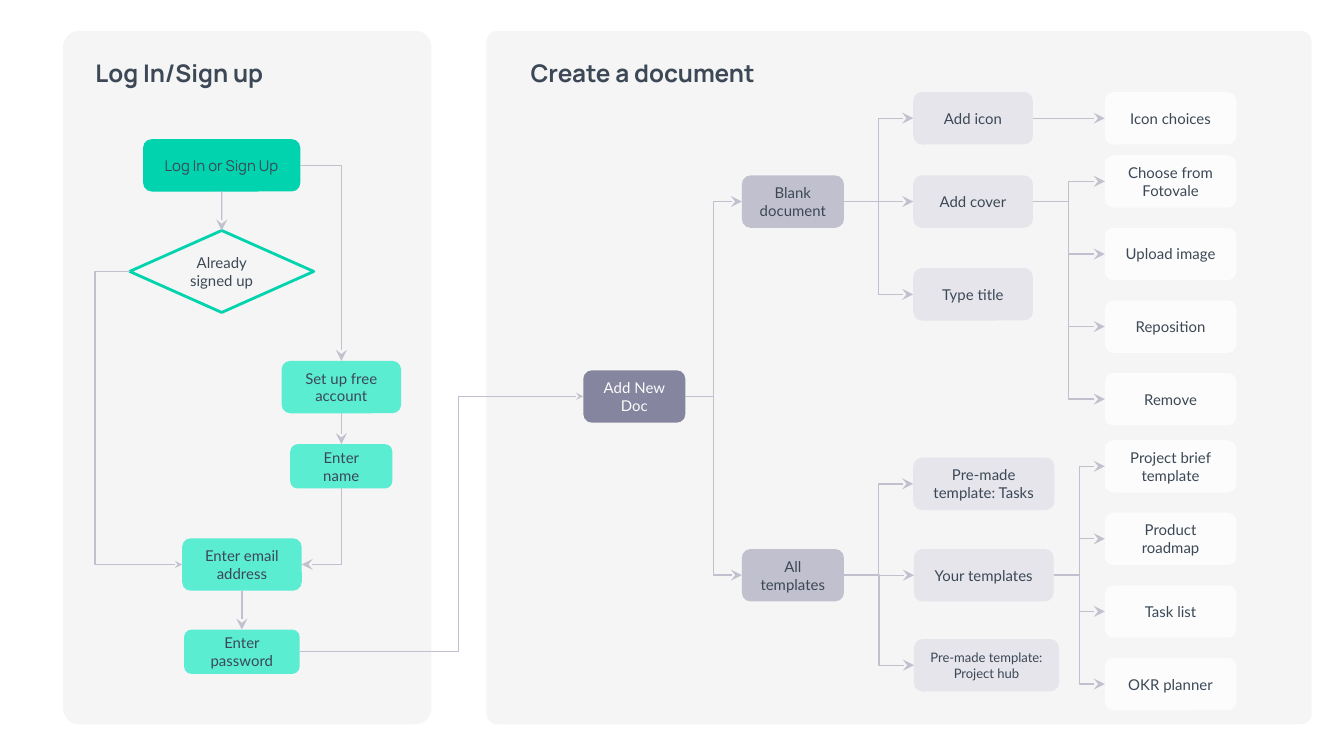
from lxml import etree
from pptx import Presentation
from pptx import util as u
from pptx.dml.color import RGBColor
from pptx.enum import shapes, text
from pptx.oxml import ns

THEME = {
    "panel": "F5F5F5", "ink": "3C4856", "light": "FCFCFC", "line": "C1C0CE",
    "start": "00D3AD", "step": "5AEDD2", "root": "85859F", "branch": "C1C0CE",
    "action": "E5E5EB", "choice": "FCFCFC",
    "body_font": "Lato", "head_font": "Manrope",
    "body_size": 8, "small_size": 7, "head_size": 13, "line_width": 0.75,
}
TOP, LEFT, BOTTOM, RIGHT = range(4)
INSETS = {f"margin_{side}": u.Inches(0.1) for side in ("left", "right", "top", "bottom")}
NODE_FRAME = {**INSETS, "word_wrap": True, "vertical_anchor": text.MSO_ANCHOR.MIDDLE}
HEAD_FRAME = {**INSETS, "word_wrap": True, "vertical_anchor": text.MSO_ANCHOR.TOP,
              "auto_size": text.MSO_AUTO_SIZE.SHAPE_TO_FIT_TEXT}


def write(shape, wording, frame_format, align, font_format, color):
    frame = shape.text_frame
    frame.text = wording
    for name, value in frame_format.items():
        setattr(frame, name, value)
    paragraph = frame.paragraphs[0]
    paragraph.alignment = align
    for run in paragraph.runs:
        for name, value in font_format.items():
            setattr(run.font, name, value)
        run.font.color.rgb = RGBColor.from_string(THEME[color])


def connect(source, source_side, target, target_side, preset="bentConnector3",
            bend=None, arrow="tailEnd", arrow_size="med"):
    kind = shapes.MSO_CONNECTOR.STRAIGHT if preset == "line" else shapes.MSO_CONNECTOR.ELBOW
    link = slide.shapes.add_connector(kind, 0, 0, 0, 0)
    link.begin_connect(source, source_side)
    link.end_connect(target, target_side)
    link.line.color.rgb = RGBColor.from_string(THEME["line"])
    link.line.width = u.Pt(THEME["line_width"])
    properties = link.element.spPr
    geometry = properties.find(ns.qn("a:prstGeom"))
    geometry.set("prst", preset)
    if bend is not None:
        guides = geometry.find(ns.qn("a:avLst"))
        etree.SubElement(guides, ns.qn("a:gd"), name="adj1", fmla=f"val {round(bend * 100000)}")
    etree.SubElement(properties.find(ns.qn("a:ln")), ns.qn(f"a:{arrow}"),
                     type="stealth", w=arrow_size, len=arrow_size)
    etree.SubElement(properties, ns.qn("a:effectLst"))


# Widescreen slide, 16:9
deck = Presentation()
deck.slide_width = u.Inches(10)
deck.slide_height = u.Inches(10 * 9 / 16)
slide = deck.slides.add_slide(deck.slide_layouts[5])

# Background panels: left, width, corner
for left, width, corner in ((3.62, 6.14, 0.016), (0.47, 2.74, 0.043)):
    panel = slide.shapes.add_shape(shapes.MSO_SHAPE.ROUNDED_RECTANGLE, u.Inches(left),
                                   u.Inches(0.23), u.Inches(width), u.Inches(5.16))
    panel.adjustments[0] = corner
    panel.shadow.inherit = False
    panel.fill.solid()
    panel.fill.fore_color.rgb = RGBColor.from_string(THEME["panel"])
    panel.line.fill.background()

# Section headings, in front of the panels
login_heading = slide.shapes.title
panel.element.addnext(login_heading.element)
create_heading = slide.shapes.add_textbox(0, 0, 0, 0)
for heading, wording, left, width in ((login_heading, "Log In/Sign up", 0.61, 2.39),
                                      (create_heading, "Create a document", 3.85, 2.64)):
    place = {"left": left, "top": 0.33, "width": width, "height": 0.42}
    for name, value in place.items():
        setattr(heading, name, u.Inches(value))
    write(heading, wording, HEAD_FRAME, text.PP_ALIGN.LEFT,
          {"name": THEME["head_font"], "size": u.Pt(THEME["head_size"]), "bold": True}, "ink")

# Nodes: key -> wording, role, centre x, centre y, width, height
steps = {
    "login": ("Log In or Sign Up", "start", 1.65, 1.23, 1.17, 0.39),
    "signed": ("Already signed up", "decision", 1.65, 2.02, 1.37, 0.61),
    "account": ("Set up free account", "step", 2.54, 2.88, 0.89, 0.39),
    "name": ("Enter name", "step", 2.54, 3.47, 0.76, 0.33),
    "email": ("Enter email address", "step", 1.8, 4.2, 0.89, 0.39),
    "password": ("Enter password", "step", 1.8, 4.85, 0.86, 0.33),
    "new": ("Add New Doc", "root", 4.72, 2.95, 0.76, 0.39),
    "blank": ("Blank document", "branch", 5.9, 1.5, 0.76, 0.39),
    "templates": ("All templates", "branch", 5.9, 4.28, 0.76, 0.39),
    "icon": ("Add icon", "action", 7.24, 0.88, 0.89, 0.39),
    "cover": ("Add cover", "action", 7.24, 1.5, 0.89, 0.39),
    "title": ("Type title", "action", 7.24, 2.19, 0.89, 0.39),
    "tasks": ("Pre-made template: Tasks", "action", 7.32, 3.6, 1.05, 0.39),
    "yours": ("Your templates", "action", 7.32, 4.28, 1.04, 0.39),
    "hub": ("Pre-made template:\vProject hub", "action", 7.34, 4.95, 1.08, 0.39),
}

# Choices stand in one column, evenly spaced within each group
choices = {
    "icon": (0.88, ["Icon choices"]),
    "cover": (1.35, ["Choose from Fotovale", "Upload image", "Reposition", "Remove"]),
    "yours": (3.47, ["Project brief template", "Product roadmap", "Task list", "OKR planner"]),
}
fans = {"new": ["blank", "templates"], "blank": ["icon", "cover", "title"],
        "templates": ["tasks", "yours", "hub"]}
for parent, (first, wordings) in choices.items():
    fans[parent] = wordings
    for row, wording in enumerate(wordings):
        steps[wording] = (wording, "choice", 8.71, first + row * 0.54, 0.98, 0.39)

node = {}
for key, (wording, role, x, y, width, height) in steps.items():
    decision = role == "decision"
    preset = shapes.MSO_SHAPE.DIAMOND if decision else shapes.MSO_SHAPE.ROUNDED_RECTANGLE
    box = slide.shapes.add_shape(preset, u.Inches(x - width / 2), u.Inches(y - height / 2),
                                 u.Inches(width), u.Inches(height))
    box.shadow.inherit = False
    if decision:
        box.fill.background()
        box.line.color.rgb = RGBColor.from_string(THEME["start"])
        box.line.width = u.Pt(1.5)
    else:
        box.fill.solid()
        box.fill.fore_color.rgb = RGBColor.from_string(THEME[role])
        box.line.fill.background()
    font = {"name": THEME["head_font" if role == "start" else "body_font"],
            "size": u.Pt(THEME["small_size" if key == "hub" else "body_size"])}
    write(box, wording, NODE_FRAME, text.PP_ALIGN.CENTER, font,
          "light" if role == "root" else "ink")
    node[key] = box

# Sign-up flow
for upper, lower in (("login", "signed"), ("account", "name"), ("email", "password")):
    connect(node[upper], BOTTOM, node[lower], TOP, "line")
connect(node["login"], RIGHT, node["account"], TOP, "bentConnector2")
connect(node["email"], RIGHT, node["name"], BOTTOM, "bentConnector2", arrow="headEnd")
connect(node["signed"], LEFT, node["email"], LEFT, bend=-0.66, arrow_size="sm")
connect(node["password"], RIGHT, node["new"], LEFT, bend=0.56, arrow_size="sm")

# Document tree: straight where both ends share a row
for parent, children in fans.items():
    for child in children:
        level = steps[parent][3] == steps[child][3]
        connect(node[parent], RIGHT, node[child], LEFT, "line" if level else "bentConnector3")

deck.save("out.pptx")
